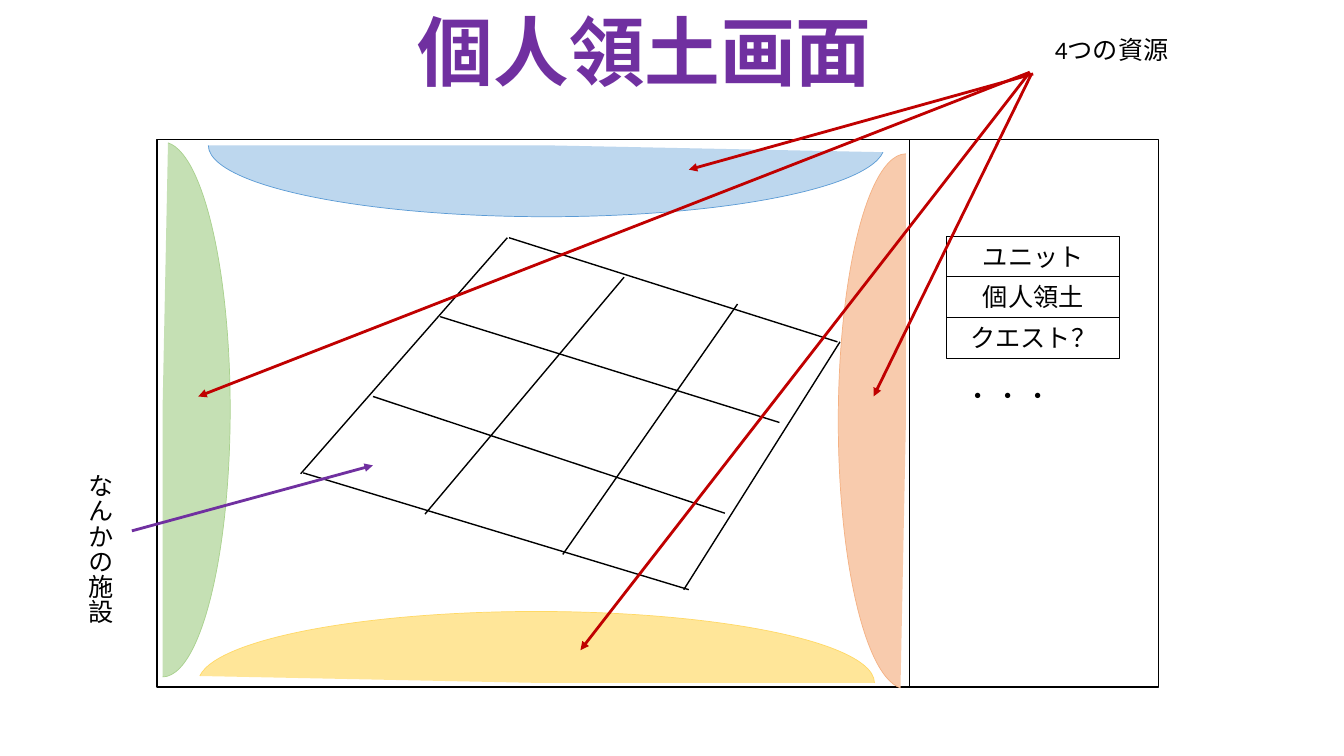
from lxml import etree
from pptx import Presentation
from pptx import util as u
from pptx.dml.color import RGBColor
from pptx.enum import shapes, text
from pptx.oxml import ns

BLACK = RGBColor(0x00, 0x00, 0x00)
PURPLE = RGBColor(0x70, 0x30, 0xA0)
RED = RGBColor(0xC0, 0x00, 0x00)
BLUE, BLUE_EDGE = RGBColor(0xBD, 0xD7, 0xEE), RGBColor(0x5B, 0x9B, 0xD5)
ORANGE, ORANGE_EDGE = RGBColor(0xF8, 0xCB, 0xAD), RGBColor(0xF4, 0xB1, 0x83)
YELLOW, YELLOW_EDGE = RGBColor(0xFF, 0xE6, 0x99), RGBColor(0xFF, 0xD9, 0x66)
GREEN, GREEN_EDGE = RGBColor(0xC5, 0xE0, 0xB4), RGBColor(0xA9, 0xD1, 0x8E)

COLS, ROWS = 160, 90
LINE_H = 4.85

TILE_LINES = [
    ((36.1, 56.3), (82, 70.2)), ((81.4, 70.2), (100, 40.7)),
    ((35.8, 56.4), (60.4, 28.3)), ((60.6, 28.3), (99.7, 40.7)),
    ((50.6, 61.2), (74.3, 33)), ((67, 66), (87.8, 36.2)),
    ((52.4, 37.7), (92.8, 50.3)), ((44.4, 47.2), (86.3, 61.1)),
]
RESOURCES = [
    ((24.8, 8.8, 80.5, 17), 180, BLUE, BLUE_EDGE),
    ((76, 42.1, 63.7, 16.1), 270, ORANGE, ORANGE_EDGE),
    ((23.6, 72.8, 80.5, 17), 0, YELLOW, YELLOW_EDGE),
    ((-12.5, 40.7, 63.7, 16.1), 90, GREEN, GREEN_EDGE),
]
RESOURCE_ARROWS = [
    ((123, 8.8), (82, 20.2)), ((122.8, 8.8), (104, 47.2)),
    ((122.6, 8.6), (23.6, 47.2)), ((122.6, 8.6), (69.1, 77.4)),
]


class Board:
    frame_format = {"word_wrap": True, "auto_size": text.MSO_AUTO_SIZE.NONE,
                    "vertical_anchor": text.MSO_ANCHOR.TOP}
    font_format = {"name": "Calibri", "size": u.Pt(18), "bold": False}

    def __init__(self, prs):
        self.cell_w = prs.slide_width / COLS
        self.cell_h = prs.slide_height / ROWS
        self.s = prs.slides.add_slide(prs.slide_layouts[5])

    def x(self, cols):
        return u.Emu(round(cols * self.cell_w))

    def y(self, rows):
        return u.Emu(round(rows * self.cell_h))

    def box(self, at):
        left, top, width, height = at
        return self.x(left), self.y(top), self.x(width), self.y(height)

    def apply(self, target, values):
        for name, value in values.items():
            setattr(target, name, value)

    def put_text(self, sp, words, align, color=BLACK, **font):
        tf = sp.text_frame
        self.apply(tf, self.frame_format)
        p = tf.paragraphs[0]
        self.apply(p, {"alignment": align, "line_spacing": 1.0})
        r = p.add_run()
        r.text = words
        self.apply(r.font, {**self.font_format, **font})
        r.font.color.rgb = color

    def title(self, words, at):
        sp = self.s.shapes.title
        self.apply(sp, dict(zip(("left", "top", "width", "height"), self.box(at))))
        self.put_text(sp, words, text.PP_ALIGN.CENTER, PURPLE, size=u.Pt(54), bold=True)

    def label(self, words, at, vertical=False):
        sp = self.s.shapes.add_textbox(*self.box(at))
        self.put_text(sp, words, text.PP_ALIGN.LEFT)
        if vertical:
            sp._element.find(".//" + ns.qn("a:bodyPr")).set("vert", "eaVert")

    def shape(self, kind, at, edge, weight, fill=None):
        sp = self.s.shapes.add_shape(kind, *self.box(at))
        sp.shadow.inherit = False
        if fill is None:
            sp.fill.background()
        else:
            sp.fill.solid()
            sp.fill.fore_color.rgb = fill
        sp.line.color.rgb = edge
        sp.line.width = u.Pt(weight)
        return sp

    def rect(self, at, weight, words=None):
        sp = self.shape(shapes.MSO_SHAPE.RECTANGLE, at, BLACK, weight)
        if words:
            self.put_text(sp, words, text.PP_ALIGN.CENTER)

    def half_ellipse(self, at, turn, fill, edge):
        sp = self.shape(shapes.MSO_SHAPE.ARC, at, edge, 0.5, fill)
        sp.adjustments[0] = 108.7
        sp.adjustments[1] = 0
        sp.rotation = turn

    def line(self, start, end, weight, color=BLACK, arrow=False):
        (x1, y1), (x2, y2) = start, end
        c = self.s.shapes.add_connector(
            shapes.MSO_CONNECTOR.STRAIGHT, self.x(x1), self.y(y1), self.x(x2), self.y(y2))
        c.line.color.rgb = color
        c.line.width = u.Pt(weight)
        sp_pr = c._element.spPr
        if arrow:
            etree.SubElement(sp_pr.find(ns.qn("a:ln")), ns.qn("a:tailEnd"), type="triangle")
        etree.SubElement(sp_pr, ns.qn("a:effectLst"))


def main():
    prs = Presentation()
    prs.slide_width, prs.slide_height = u.Inches(13.33), u.Inches(7.5)
    board = Board(prs)

    board.title("個人領土画面", (45.5, 0, 62.5, 12.1))
    board.rect((18.7, 16.6, 119.2, 65.2), 1)
    board.line((108.2, 16.6), (108.2, 81.8), 0.5)
    for i, entry in enumerate(("ユニット", "個人領土", "クエスト？")):
        board.rect((112.7, 28.1 + i * LINE_H, 20.6, LINE_H), 0.75, entry)
    board.label("・・・", (119.9, 44.5, 6, 6.5), vertical=True)

    for start, end in TILE_LINES:
        board.line(start, end, 1)
    for resource in RESOURCES:
        board.half_ellipse(*resource)
    for start, end in RESOURCE_ARROWS:
        board.line(start, end, 2, RED, arrow=True)
    board.label("4つの資源", (124.4, 3.5, 32.9, LINE_H))

    board.line((15.7, 63.2), (44.4, 55.4), 2, PURPLE, arrow=True)
    board.label("なんかの施設", (8.3, 55.2, 6, 22.2), vertical=True)

    prs.save("out.pptx")


if __name__ == "__main__":
    main()
